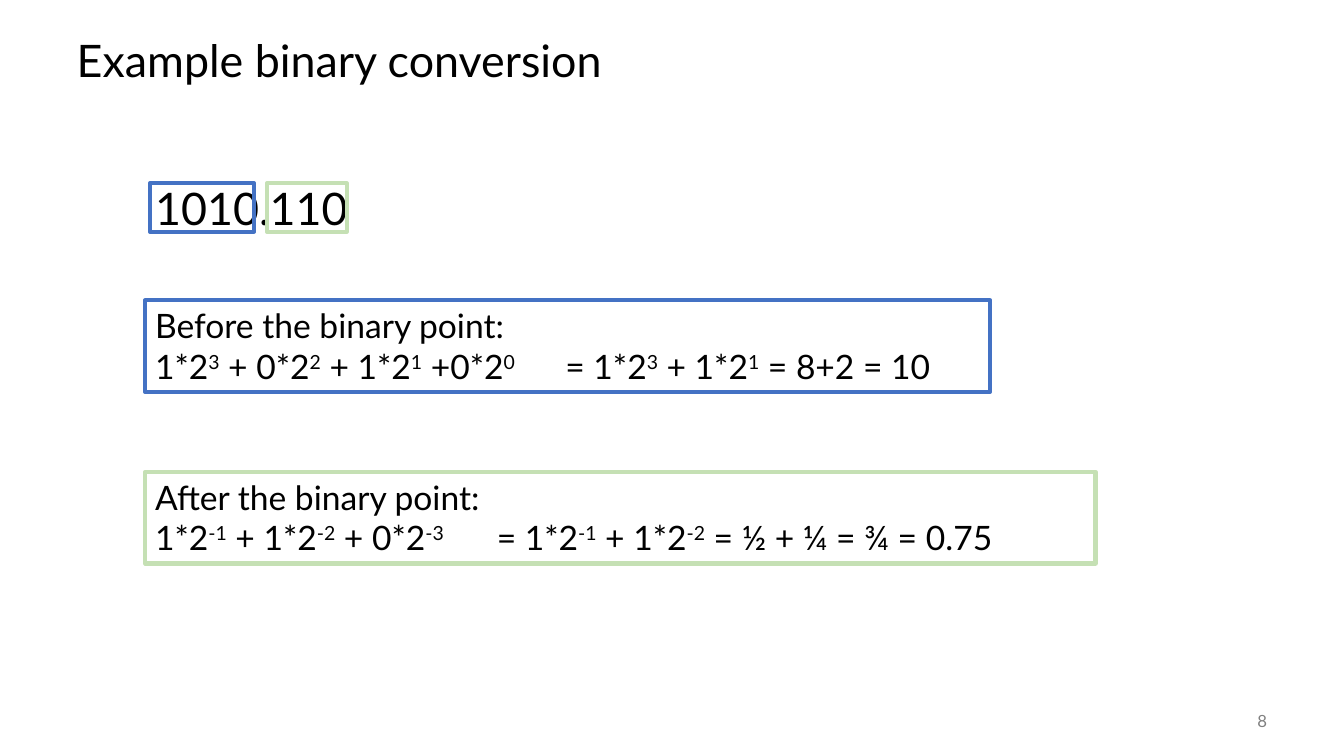
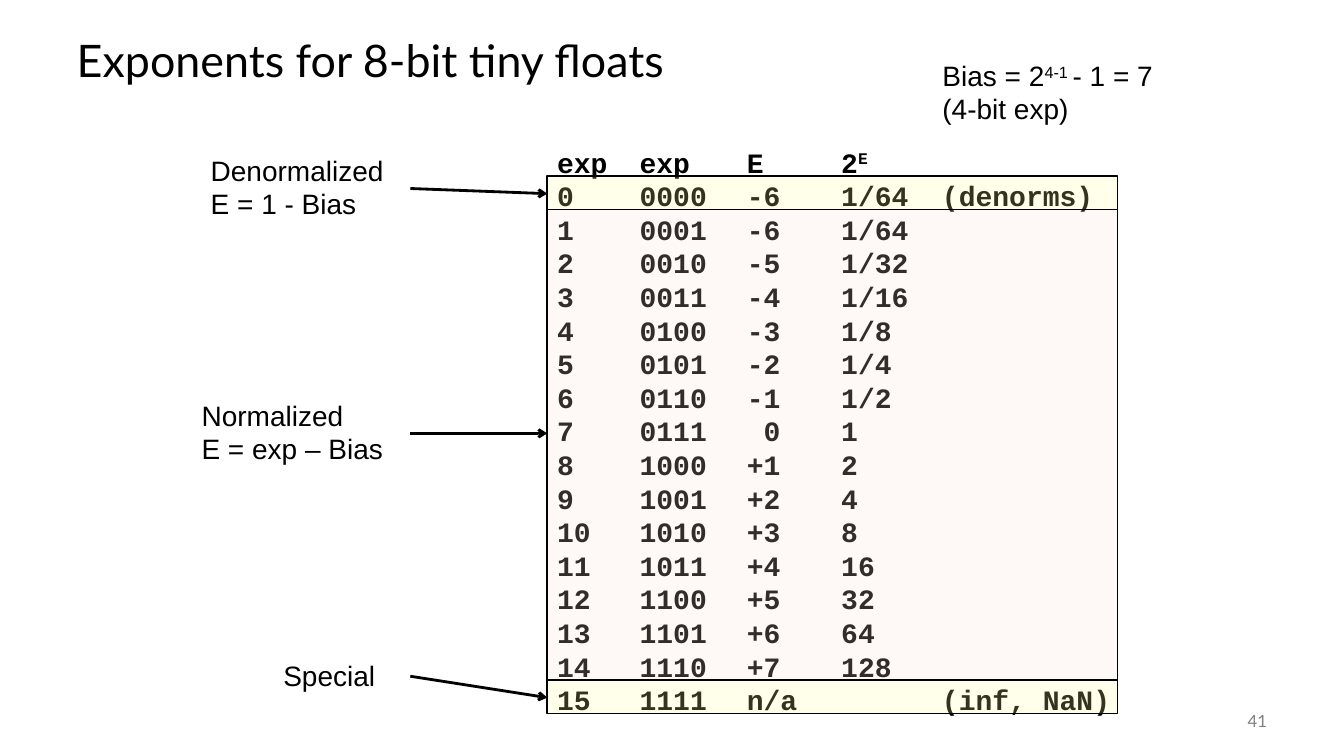
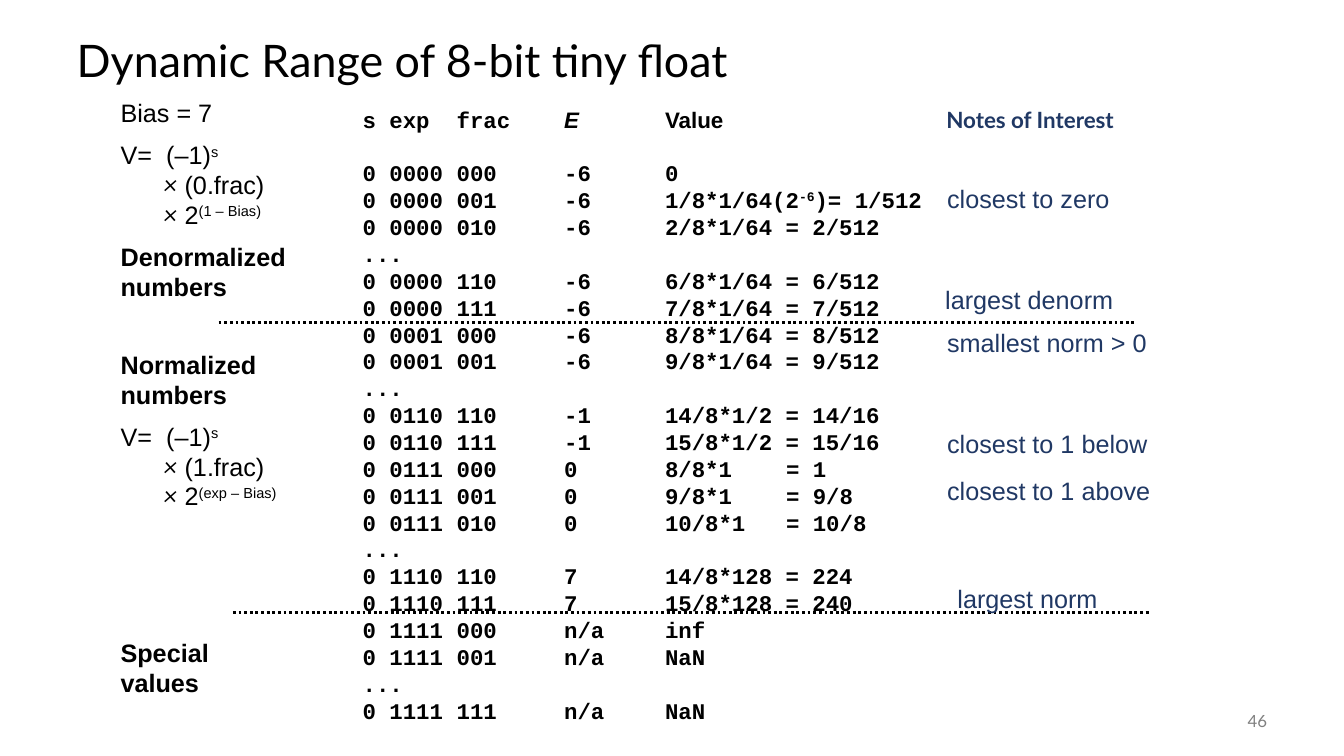
import pptx
import pptx.util
import pptx.dml.color
import pptx.enum.dml
import pptx.enum.shapes
import pptx.enum.text
import pptx.oxml.ns
import lxml.etree

Cm = pptx.util.Cm
Pt = pptx.util.Pt

LATO, ARIAL, MONO = "Lato", "Arial", "Courier New"
BLACK, GREY, NAVY = "000000", "808080", "203864"
BLUE, GREEN, PEACH, YELLOW = "4472C4", "C5E0B4", "FBE5D6", "FFFF99"
LINE_PITCH = {ARIAL: 1.18, MONO: 1.2}
BOLD = {"bold": True}
ITALIC = {"font": LATO, "italic": True}

TITLE_BOX = (1.68, 0.64, 30.48, 1.9)
NUMBER_BOX = (29.64, 17.65, 2.54, 1.02)

DIGIT_FRAMES = [(3.78, 2.62, BLUE), (6.73, 2.01, GREEN)]
CONVERSIONS = [
    ((3.66, 7.57, 21.29, 2.31), BLUE, 10.34,
     ["Before the binary point:",
      "1*2^3^ + 0*2^2^ + 1*2^1^ +0*2^0^\t= 1*2^3^ + 1*2^1^ = 8+2 = 10"]),
    ((3.66, 11.89, 23.95, 2.31), GREEN, 8.61,
     ["After the binary point:",
      "1*2^-1^ + 1*2^-2^ + 0*2^-3^\t= 1*2^-1^ + 1*2^-2^ = ½ + ¼ = ¾ = 0.75"]),
]

EXPONENT_ROWS = [
    "exp\texp\tE\t2^E^",
    "0\t0000\t-6\t1/64\t(denorms)",
    "1\t0001\t-6\t1/64",
    "2\t0010\t-5\t1/32",
    "3\t0011\t-4\t1/16",
    "4\t0100\t-3\t1/8",
    "5\t0101\t-2\t1/4",
    "6\t0110\t-1\t1/2",
    "7\t0111\t 0\t1",
    "8\t1000\t+1\t2",
    "9\t1001\t+2\t4",
    "10\t1010\t+3\t8",
    "11\t1011\t+4\t16",
    "12\t1100\t+5\t32",
    "13\t1101\t+6\t64",
    "14\t1110\t+7\t128",
    "15\t1111\tn/a\t\t(inf, NaN)",
]
EXPONENT_TABS = [2.08, 4.78, 7.16, 9.7]
PANEL_LEFT, PANEL_WIDTH, ARROW_START = 13.79, 14.38, 10.34
EXPONENT_PANELS = [(5.28, 11.86, PEACH), (4.44, 0.84, YELLOW), (17.14, 0.84, YELLOW)]
EXPONENT_LABELS = [
    (3.76, 5.28, ["Denormalized", "E = 1 - Bias"], 4.75, 4.88),
    (9.93, 5.51, ["Normalized", "E = exp – Bias"], 10.92, 10.92),
    (16.48, 3.45, ["Special"], 17.04, 17.58),
]
BIAS_LINES = ["Bias = 2^4-1 ^- 1 = 7", "(4-bit exp)"]

RANGE_ROWS = [
    ["s exp\tfrac\t", ("E", {"font": ARIAL, "italic": True}), ("\tValue\t\t", {"font": ARIAL}),
     ("Notes of Interest", {"font": LATO, "color": NAVY})],
    "0 0000\t000\t-6\t0",
    "0 0000\t001\t-6\t1/8*1/64(2^-6^)= 1/512",
    "0 0000\t010\t-6\t2/8*1/64 = 2/512",
    "...",
    "0 0000\t110\t-6\t6/8*1/64 = 6/512",
    "0 0000\t111\t-6\t7/8*1/64 = 7/512",
    "0 0001\t000\t-6\t8/8*1/64 = 8/512",
    "0 0001\t001\t-6\t9/8*1/64 = 9/512",
    "...",
    "0 0110\t110\t-1\t14/8*1/2 = 14/16",
    "0 0110\t111\t-1\t15/8*1/2 = 15/16",
    "0 0111\t000\t0\t8/8*1\t= 1",
    "0 0111\t001\t0\t9/8*1\t= 9/8",
    "0 0111\t010\t0\t10/8*1\t= 10/8",
    "...",
    "0 1110\t110\t7\t14/8*128 = 224",
    "0 1110\t111\t7\t15/8*128 = 240",
    "0 1111\t000\tn/a\tinf",
    "0 1111\t001\tn/a\tNaN",
    "...",
    "0 1111\t111\tn/a\tNaN",
]
RANGE_TABS = [2.37, 5.08, 7.62, 10.67, 14.71]
RANGE_DIVIDERS = [(5.51, 28.58, 8.13), (5.87, 28.96, 15.44)]
RANGE_NOTES = [
    (23.62, 4.5, "closest to zero"),
    (23.57, 7.06, "largest denorm"),
    (23.62, 8.15, "smallest norm > 0"),
    (23.62, 10.69, "closest to 1 below"),
    (23.62, 11.86, "closest to 1 above"),
    (23.88, 14.58, "largest norm"),
]


def formula(leading_digit, exponent):
    return ["V=\t(–1)^s^",
            [("×", ITALIC), f" ({leading_digit}.frac)"],
            [("×", ITALIC), f" 2^({exponent})^"]]


def bold_lines(*lines):
    return [[(line, BOLD)] for line in lines]


RANGE_GROUPS = [
    ((2.79, 2.34, 5.03, 5.64),
     ["Bias = 7"] + formula(0, "1 – Bias") + bold_lines("Denormalized", "numbers"),
     {1: 9, 4: 9}, (2, 3)),
    ((2.79, 8.69, 6.53, 4.5),
     bold_lines("Normalized", "numbers") + formula(1, "exp – Bias"),
     {2: 9}, (3, 4)),
    ((2.79, 15.95, 6.53, 1.8), bold_lines("Special", "values"), {}, ()),
]


def rgb(color):
    return pptx.dml.color.RGBColor.from_string(color)


def place(box):
    return [Cm(length) for length in box]


def add_element(parent, tag, **attributes):
    element = lxml.etree.SubElement(parent, pptx.oxml.ns.qn(tag))
    for name, value in attributes.items():
        element.set(name, str(value))
    return element


def add_runs(paragraph, text, font, size, color=BLACK, bold=False, italic=False):
    for position, part in enumerate(text.split("^")):
        if not part:
            continue
        run = paragraph.add_run()
        run.text = part
        run.font.name = font
        run.font.size = Pt(size)
        run.font.bold = bold
        run.font.italic = italic
        run.font.color.rgb = rgb(color)
        if position % 2:
            run.font._element.set("baseline", "30000")


def fill_text(frame, lines, font=LATO, size=24, color=BLACK, bold=False,
              tabs=(), gaps={}, indented=()):
    base = {"font": font, "size": size, "color": color, "bold": bold}
    frame.word_wrap = True
    frame.vertical_anchor = pptx.enum.text.MSO_ANCHOR.TOP
    for index, line in enumerate(lines):
        paragraph = frame.add_paragraph() if index else frame.paragraphs[0]
        properties = paragraph._p.get_or_add_pPr()
        if index in indented:
            properties.set("marL", str(Cm(1.07)))
        if tabs:
            tab_list = add_element(properties, "a:tabLst")
            for tab in tabs:
                add_element(tab_list, "a:tab", pos=int(Cm(tab)), algn="l")
        paragraph.alignment = pptx.enum.text.PP_ALIGN.LEFT
        if font in LINE_PITCH:
            paragraph.line_spacing = Pt(round(size * LINE_PITCH[font], 1))
        if index in gaps:
            paragraph.space_before = Pt(gaps[index])
        for part in [line] if isinstance(line, str) else line:
            text, changes = (part, {}) if isinstance(part, str) else part
            add_runs(paragraph, text, **{**base, **changes})


def add_text(slide, box, lines, **style):
    frame = slide.shapes.add_textbox(*place(box)).text_frame
    fill_text(frame, lines, **style)
    return frame


def add_rectangle(slide, box, line_color, line_width, fill=None, opacity=20):
    shape = slide.shapes.add_shape(pptx.enum.shapes.MSO_SHAPE.RECTANGLE, *place(box))
    shape.shadow.inherit = False
    shape.line.color.rgb = rgb(line_color)
    shape.line.width = Pt(line_width)
    if fill:
        shape.fill.solid()
        shape.fill.fore_color.rgb = rgb(fill)
        color = shape._element.spPr.find(".//" + pptx.oxml.ns.qn("a:srgbClr"))
        add_element(color, "a:alpha", val=opacity * 1000)
    else:
        shape.fill.background()
    return shape


def add_line(slide, ends, arrow=False, dotted=False):
    line = slide.shapes.add_connector(pptx.enum.shapes.MSO_CONNECTOR.STRAIGHT, *place(ends))
    line.line.color.rgb = rgb(BLACK)
    line.line.width = Pt(2)
    if dotted:
        line.line.dash_style = pptx.enum.dml.MSO_LINE.ROUND_DOT
    if arrow:
        add_element(line.line._get_or_add_ln(), "a:tailEnd", type="arrow")
    add_element(line._element.spPr, "a:effectLst")


def add_slide(presentation, title, number):
    slide = presentation.slides.add_slide(presentation.slide_layouts[5])
    shape = slide.shapes.title
    shape.left, shape.top, shape.width, shape.height = place(TITLE_BOX)
    frame = shape.text_frame
    fill_text(frame, [title], size=32)
    frame.auto_size = pptx.enum.text.MSO_AUTO_SIZE.NONE
    frame.vertical_anchor = pptx.enum.text.MSO_ANCHOR.MIDDLE
    frame.paragraphs[0].line_spacing = 0.9
    frame = add_text(slide, NUMBER_BOX, [number], size=12, color=GREY)
    frame.vertical_anchor = pptx.enum.text.MSO_ANCHOR.MIDDLE
    frame.paragraphs[0].alignment = pptx.enum.text.PP_ALIGN.RIGHT
    return slide


def build_conversion(presentation):
    slide = add_slide(presentation, "Example binary conversion", "8")
    add_text(slide, (3.66, 4.42, 5.49, 1.63), ["1010.110"], size=32)
    for left, width, color in DIGIT_FRAMES:
        add_rectangle(slide, (left, 4.62, width, 1.22), color, 3)
    for box, color, tab, lines in CONVERSIONS:
        shape = add_rectangle(slide, box, color, 3)
        fill_text(shape.text_frame, lines, tabs=[tab])


def build_exponents(presentation):
    slide = add_slide(presentation, "Exponents for 8-bit tiny floats", "41")
    add_text(slide, (PANEL_LEFT, 3.53, 14.58, 14.78), EXPONENT_ROWS,
             font=MONO, size=20, bold=True, tabs=EXPONENT_TABS)
    for top, height, color in EXPONENT_PANELS:
        add_rectangle(slide, (PANEL_LEFT, top, PANEL_WIDTH, height), BLACK, 1, color)
    for top, width, lines, start, end in EXPONENT_LABELS:
        add_text(slide, (ARROW_START - width, top, width, 0.28 + 0.84 * len(lines)), lines,
                 font=ARIAL, size=20)
        add_line(slide, (ARROW_START, start, PANEL_LEFT, end), arrow=True)
    add_text(slide, (23.5, 1.37, 6.15, 1.96), BIAS_LINES, font=ARIAL, size=20)


def build_range(presentation):
    slide = add_slide(presentation, "Dynamic Range of 8-bit tiny float", "46")
    for start, end, height in RANGE_DIVIDERS:
        add_line(slide, (start, height, end, height), dotted=True)
    add_text(slide, (8.89, 2.54, 21.13, 15.98), RANGE_ROWS,
             font=MONO, size=16, bold=True, tabs=RANGE_TABS, gaps={1: 19.2})
    for box, lines, gaps, indented in RANGE_GROUPS:
        add_text(slide, box, lines, font=ARIAL, size=18, tabs=[1.15],
                 gaps=gaps, indented=indented)
    for left, top, note in RANGE_NOTES:
        add_text(slide, (left, top, 6.25, 1.02), [note], font=ARIAL, size=18, color=NAVY)


def main():
    presentation = pptx.Presentation()
    presentation.slide_width = Cm(33.87)
    presentation.slide_height = Cm(19.05)
    build_conversion(presentation)
    build_exponents(presentation)
    build_range(presentation)
    presentation.save("out.pptx")


if __name__ == "__main__":
    main()
